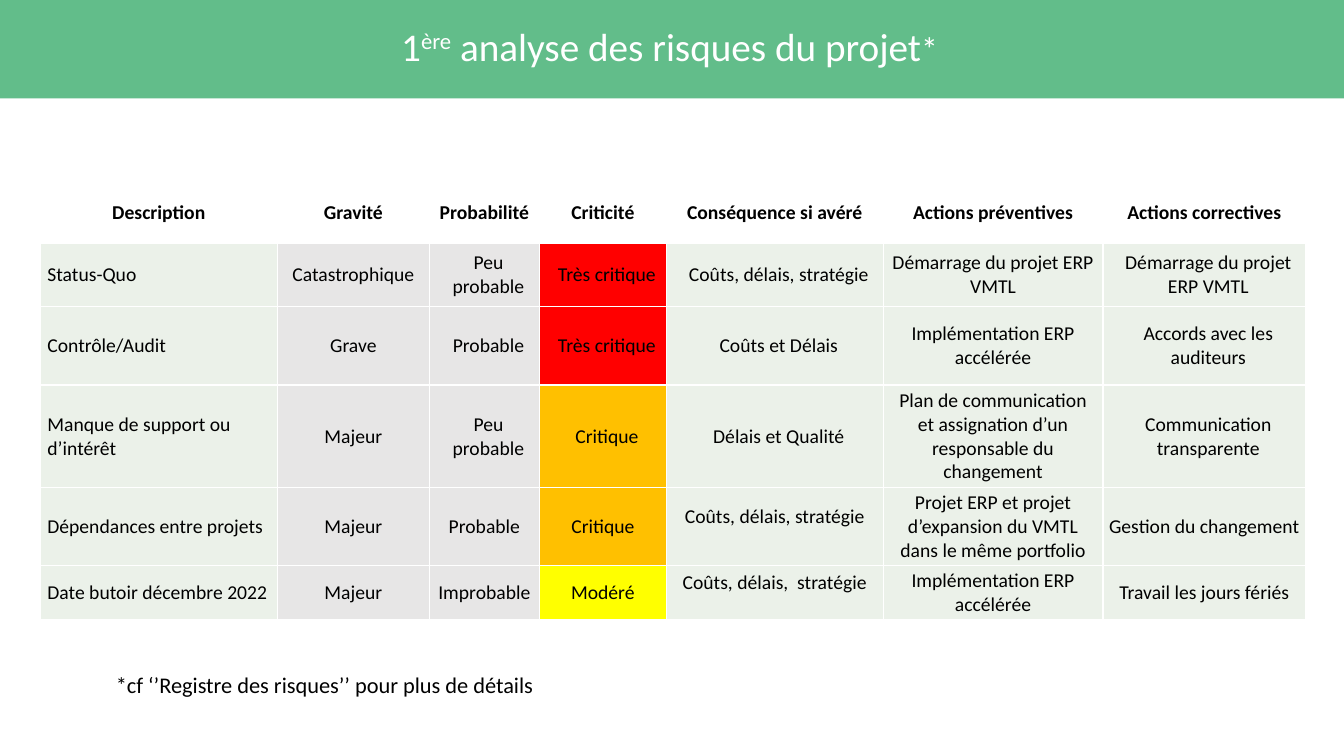
import dataclasses

import lxml.etree
import pptx
import pptx.dml.color
import pptx.enum.shapes
import pptx.enum.text
import pptx.oxml.ns
import pptx.util

TITLE = [("1", 28, 0), ("ère", 28, 30), (" analyse des risques du projet", 28, 0), ("*", 24, 0)]
NOTE = "*cf ‘’Registre des risques’’ pour plus de détails"
HEADS = ["Description", "Gravité", "Probabilité", "Criticité",
         "Conséquence si avéré", "Actions préventives", "Actions correctives"]
RISKS = [
    ["Status-Quo", "Catastrophique", "Peu probable", "Très critique",
     "Coûts, délais, stratégie", "Démarrage du projet ERP VMTL",
     "Démarrage du projet ERP VMTL"],
    ["Contrôle/Audit", "Grave", "Probable", "Très critique",
     "Coûts et Délais", "Implémentation ERP accélérée", "Accords avec les auditeurs"],
    ["Manque de support ou d’intérêt", "Majeur", "Peu probable", "Critique",
     "Délais et Qualité",
     "Plan de communication et assignation d’un responsable du changement",
     "Communication transparente"],
    ["Dépendances entre projets", "Majeur", "Probable", "Critique",
     "Coûts, délais, stratégie",
     "Projet ERP et projet d’expansion du VMTL dans le même portfolio",
     "Gestion du changement"],
    ["Date butoir décembre 2022", "Majeur", "Improbable", "Modéré",
     "Coûts, délais,  stratégie", "Implémentation ERP accélérée",
     "Travail les jours fériés"],
]
COLS = [2.35, 1.51, 1.09, 1.26, 2.15, 2.18, 2.01]
ROWS = [0.59, 0.63, 0.78, 1.02, 0.77, 0.54]
WIDE, HIGH = 13.33, 7.5


@dataclasses.dataclass(frozen=True)
class Theme:
    font: str = "Calibri"
    cell: int = 14
    note: int = 16
    dark: str = "000000"
    white: str = "FFFFFF"
    green: str = "62BD8A"
    pale: str = "EBF1E9"
    grey: str = "E7E6E6"
    levels: tuple = (("Très critique", "FF0000"), ("Critique", "FFC000"),
                     ("Modéré", "FFFF00"))


theme = Theme()
inch = pptx.util.Inches
center = pptx.enum.text.PP_ALIGN.CENTER
middle = pptx.enum.text.MSO_ANCHOR.MIDDLE


def paint(fill, color):
    fill.solid()
    fill.fore_color.rgb = pptx.dml.color.RGBColor.from_string(color)


def write(para, text, size, color, bold=False):
    run = para.add_run()
    run.text = text
    run.font.name = theme.font
    run.font.size = pptx.util.Pt(size)
    run.font.bold = bold
    run.font.color.rgb = pptx.dml.color.RGBColor.from_string(color)
    return run


def edge(cell):
    """Draw a thin white line on all four sides of the cell."""
    qn = pptx.oxml.ns.qn
    props = cell._tc.get_or_add_tcPr()
    for side in "LRTB":
        line = lxml.etree.SubElement(props, qn(f"a:ln{side}"), w="12700")
        fill = lxml.etree.SubElement(line, qn("a:solidFill"))
        lxml.etree.SubElement(fill, qn("a:srgbClr"), val=theme.white)


def tint(row, col, text):
    if row == 0:
        return theme.white
    if col == 3:
        return dict(theme.levels)[text]
    return theme.grey if col in (1, 2) else theme.pale


def inset(row, col):
    """Give the left, right and bottom margins of a cell."""
    if row == 0:
        return 0, 0, 0
    if col in (0, 1, 5):
        return 0.07, 0.07, 0
    if row < 4:
        return 0.08, 0, 0
    return 0, 0, 0.2 if col == 4 else 0


def add_banner(slide):
    band = slide.shapes.add_shape(pptx.enum.shapes.MSO_SHAPE.RECTANGLE,
                                  0, 0, inch(WIDE), inch(HIGH * 0.13))
    band.shadow.inherit = False
    paint(band.fill, theme.green)
    band.line.fill.background()
    slide.shapes._spTree.insert(2, band._element)


def add_title(slide):
    title = slide.shapes.title
    title.left, title.top = inch(0.48), inch(0.22)
    title.width, title.height = inch(12.32), inch(0.53)
    frame = title.text_frame
    frame.auto_size = pptx.enum.text.MSO_AUTO_SIZE.NONE
    frame.vertical_anchor = middle
    para = frame.paragraphs[0]
    para.alignment = center
    para.line_spacing = 0.9
    for text, size, rise in TITLE:
        run = write(para, text, size, theme.white)
        if rise:
            run._r.get_or_add_rPr().set("baseline", str(rise * 1000))


def add_grid(slide):
    data = [HEADS] + RISKS
    grid = slide.shapes.add_table(len(ROWS), len(COLS), inch(0.4), inch(1.82),
                                  inch(sum(COLS)), inch(sum(ROWS))).table
    grid.horz_banding = False
    for col, width in enumerate(COLS):
        grid.columns[col].width = inch(width)
    for row, height in enumerate(ROWS):
        grid.rows[row].height = inch(height)
        for col, text in enumerate(data[row]):
            cell = grid.cell(row, col)
            left, right, base = inset(row, col)
            cell.margin_left, cell.margin_right = inch(left), inch(right)
            cell.margin_top, cell.margin_bottom = 0, inch(base)
            cell.vertical_anchor = middle
            edge(cell)
            paint(cell.fill, tint(row, col, text))
            para = cell.text_frame.paragraphs[0]
            if row == 0 or col > 0:
                para.alignment = center
            write(para, text, theme.cell, theme.dark, row == 0)


def add_note(slide):
    box = slide.shapes.add_textbox(inch(1.05), inch(6.61), inch(7.17), inch(0.37))
    box.text_frame.word_wrap = True
    write(box.text_frame.paragraphs[0], NOTE, theme.note, theme.dark)


def main():
    deck = pptx.Presentation()
    deck.slide_width, deck.slide_height = inch(WIDE), inch(HIGH)
    slide = deck.slides.add_slide(deck.slide_layouts[5])
    add_banner(slide)
    add_title(slide)
    add_grid(slide)
    add_note(slide)
    deck.save("out.pptx")


if __name__ == "__main__":
    main()
